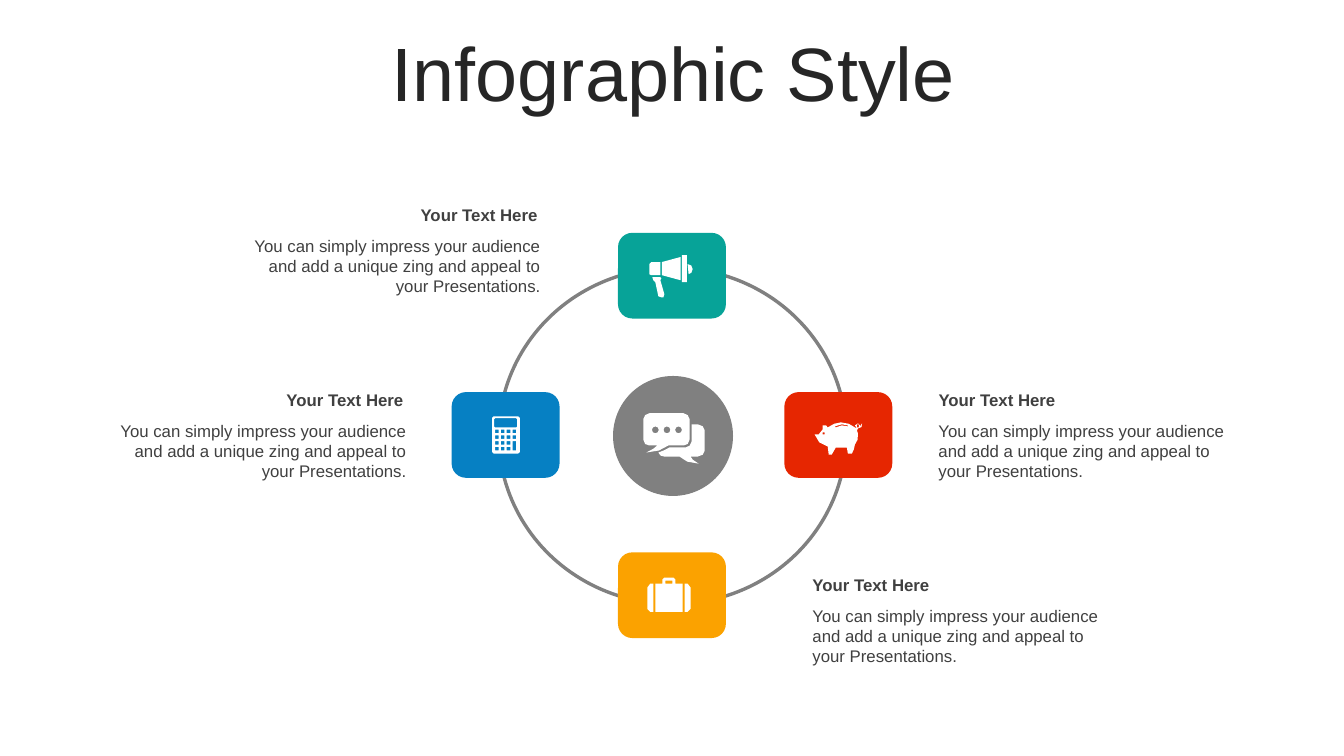
import math
from dataclasses import dataclass

import pptx
import pptx.dml.color
import pptx.enum.shapes
import pptx.enum.text
import pptx.util

RGBColor = pptx.dml.color.RGBColor
Shape = pptx.enum.shapes.MSO_SHAPE
Align = pptx.enum.text.PP_ALIGN
Anchor = pptx.enum.text.MSO_ANCHOR
Fit = pptx.enum.text.MSO_AUTO_SIZE

Contour = list[tuple[float, ...]]

COLS, ROWS = 1333, 750
WIDTH, HEIGHT = pptx.util.Inches(13.33), pptx.util.Inches(7.5)

WHITE = RGBColor(0xFF, 0xFF, 0xFF)
INK = RGBColor(0x26, 0x26, 0x26)
TEXT = RGBColor(0x40, 0x40, 0x40)
GRAY = RGBColor(0x80, 0x80, 0x80)
TEAL = RGBColor(0x07, 0xA3, 0x98)
AMBER = RGBColor(0xFB, 0xA2, 0x00)
RED = RGBColor(0xE6, 0x26, 0x01)
BLUE = RGBColor(0x06, 0x80, 0xC3)

TITLE_FONT = {"name": "Arial", "size": pptx.util.Pt(54)}
BODY_FONT = {"name": "Arial", "size": pptx.util.Pt(12)}
HEAD_FONT = BODY_FONT | {"bold": True}

HEADING = "Your Text Here"
BODY = ("You can simply impress your audience and add a unique zing "
        "and appeal to your Presentations.")


@dataclass(frozen=True)
class Box:
    col: float
    row: float
    cols: float
    rows: float

    def emu(self) -> tuple[int, int, int, int]:
        return (to_x(self.col), to_y(self.row), to_x(self.cols), to_y(self.rows))


@dataclass(frozen=True)
class Caption:
    col: float
    row: float
    align: Align


@dataclass(frozen=True)
class Badge:
    shape: Shape
    box: Box
    color: RGBColor
    icon: list[Contour]


def to_x(col: float) -> int:
    return round(WIDTH * col / COLS)


def to_y(row: float) -> int:
    return round(HEIGHT * row / ROWS)


def block(x: float, y: float, w: float, h: float) -> Contour:
    return [(x, y), (x + w, y), (x + w, y + h), (x, y + h)]


def cut_block(x: float, y: float, w: float, h: float, cut: float) -> Contour:
    return [(x + cut, y), (x + w - cut, y), (x + w, y + cut), (x + w, y + h - cut),
            (x + w - cut, y + h), (x + cut, y + h), (x, y + h - cut), (x, y + cut)]


def disc(cx: float, cy: float, radius: float) -> Contour:
    return [(cx + radius * math.cos(i * math.pi / 4),
             cy + radius * math.sin(i * math.pi / 4)) for i in range(8)]


def flatten(contour: Contour) -> list[tuple[int, int]]:
    points: Contour = []
    for node in contour:
        if len(node) == 2:
            points.append(node)
            continue
        ctrl = [points[-1], node[:2], node[2:4], node[4:]]
        steps = 2 if math.dist(ctrl[0], ctrl[3]) > 4 else 1
        for i in range(1, steps + 1):
            t = i / steps
            weights = ((1 - t) ** 3, 3 * t * (1 - t) ** 2, 3 * t * t * (1 - t), t ** 3)
            points.append(tuple(sum(w * c[k] for w, c in zip(weights, ctrl))
                                for k in (0, 1)))
    return [(to_x(px), to_y(py)) for px, py in points]


def paint(sp: pptx.shapes.autoshape.Shape, color: RGBColor) -> None:
    sp.shadow.inherit = False
    sp.fill.solid()
    sp.fill.fore_color.rgb = color
    sp.line.fill.background()


def add_icon(shapes: pptx.shapes.shapetree.SlideShapes, icon: list[Contour]) -> None:
    first, *rest = [flatten(contour) for contour in icon]
    builder = shapes.build_freeform(*first[0])
    builder.add_line_segments(first[1:])
    for points in rest:
        builder.move_to(*points[0])
        builder.add_line_segments(points[1:])
    paint(builder.convert_to_shape(), WHITE)


def add_figure(shapes: pptx.shapes.shapetree.SlideShapes, kind: Shape, box: Box,
               color: RGBColor) -> pptx.shapes.autoshape.Shape:
    sp = shapes.add_shape(kind, *box.emu())
    paint(sp, color)
    return sp


def add_text(shapes: pptx.shapes.shapetree.SlideShapes, box: Box, text: str, font: dict,
             color: RGBColor, frame: dict, para: dict) -> None:
    tf = shapes.add_textbox(*box.emu()).text_frame
    p = tf.paragraphs[0]
    r = p.add_run()
    r.text = text
    r.font.color.rgb = color
    for target, values in ((tf, frame | {"word_wrap": True}), (p, para), (r.font, font)):
        for name, value in values.items():
            setattr(target, name, value)


def add_caption(shapes: pptx.shapes.shapetree.SlideShapes, caption: Caption) -> None:
    col, row = caption.col, caption.row
    frame, para = {"auto_size": Fit.SHAPE_TO_FIT_TEXT}, {"alignment": caption.align}
    shift = 1 if caption.align == Align.RIGHT else 0
    add_text(shapes, Box(col, row + 30.5, 314, 71), BODY, BODY_FONT, TEXT, frame, para)
    add_text(shapes, Box(col - shift, row, 312, 30), HEADING, HEAD_FONT, TEXT, frame, para)


KEYS = [block(491 + 5.8 * c, 426.3 + 5.7 * r, 3.5, 3.5)
        for r in range(4) for c in range(4) if c < 3 or r < 2]
CALCULATOR = [cut_block(488, 413, 27.5, 37, 1.5), cut_block(490, 415, 23, 9, 1),
              block(508.4, 437.7, 3.5, 9.2), *KEYS]

CHAT = [
    [(686, 421), (692, 421), (696, 421, 699, 424, 699, 427), (699, 447),
     (699, 450, 696, 453, 692, 453), (685, 453), (687, 455, 686, 457, 693, 460),
     (682, 459, 680, 458, 674, 453), (659, 453), (656, 453, 654, 452, 653, 449),
     (657, 448, 660, 446, 664, 444), (680, 444), (683, 444, 686, 441, 686, 438)],
    [(644, 410), (678, 410), (681, 410, 684, 413, 684, 416), (684, 436),
     (684, 440, 681, 442, 678, 442), (663, 442), (655, 447, 653, 448, 641, 449),
     (648, 445, 648, 446, 652, 442), (644, 442), (641, 442, 638, 440, 638, 436),
     (638, 416), (638, 413, 641, 410, 644, 410)],
    *[disc(col, 426.5, 3.4) for col in (650, 661.5, 673)]]

MEGAPHONE = [
    [(655, 275), (656, 276), (655, 278), (659, 292), (658, 295), (656, 295),
     (653, 294), (650, 280), (648, 278), (647, 275)],
    [(682, 262), (685, 262, 687, 264, 687, 267), (687, 270, 685, 272, 683, 272)],
    [(646, 260), (655, 260), (655, 273), (646, 273), (644, 272), (644, 262)],
    [(675, 255), (675, 278), (656.5, 273), (656.5, 260)],
    block(676.3, 253, 5, 27)]

PIG = [
    block(816, 429, 2, 2),
    block(850, 421, 2, 3),
    [(835, 421), (828, 423), (829, 424), (833, 422, 837, 421, 841, 423), (841, 422)],
    [(834, 419), (839, 419, 845, 421, 848, 424), (850, 425), (848, 422), (851, 420),
     (853, 422), (853, 423), (855, 420), (856, 423, 854, 425, 851, 425), (850, 427),
     (851, 430), (852, 434, 850, 439, 848, 441), (848, 445, 846, 447, 845, 450),
     (841, 450), (840, 444), (829, 444), (825, 451), (822, 451), (821, 443),
     (817, 441, 807, 438, 808, 431), (812, 431), (816, 426), (816, 422),
     (819, 420, 820, 423, 821, 424), (824, 421, 831, 419, 834, 419)]]

SUITCASE = [
    [(679, 579), (682, 579), (685, 583), (685, 604), (682, 607), (679, 607)],
    [(645, 579), (648, 579), (648, 607), (645, 607), (642, 604), (642, 583)],
    block(660, 576, 7, 3),
    [(659, 573), (668, 573), (670, 575), (670, 579), (677, 579), (677, 607),
     (650, 607), (650, 579), (657, 579), (657, 575)]]

CAPTIONS = [Caption(921, 382, Align.LEFT), Caption(99, 382, Align.RIGHT),
            Caption(796, 565, Align.LEFT), Caption(232, 198, Align.RIGHT)]

TILE = Shape.ROUNDED_RECTANGLE
BADGES = [Badge(TILE, Box(613, 231, 107, 85), TEAL, MEGAPHONE),
          Badge(TILE, Box(613, 548, 107, 85), AMBER, SUITCASE),
          Badge(TILE, Box(778, 389, 107, 85), RED, PIG),
          Badge(TILE, Box(448, 389, 107, 85), BLUE, CALCULATOR),
          Badge(Shape.OVAL, Box(608, 373, 119, 119), GRAY, CHAT)]


def main() -> None:
    prs = pptx.Presentation()
    prs.slide_width, prs.slide_height = WIDTH, HEIGHT
    shapes = prs.slides.add_slide(prs.slide_layouts[6]).shapes
    add_text(shapes, Box(35, 37, 1266, 79), "Infographic Style", TITLE_FONT, INK,
             {"vertical_anchor": Anchor.MIDDLE},
             {"alignment": Align.CENTER, "line_spacing": 0.9,
              "space_before": pptx.util.Pt(10)})
    for caption in CAPTIONS:
        add_caption(shapes, caption)
    ring = add_figure(shapes, Shape.DONUT, Box(493, 264, 348, 337), GRAY)
    ring.adjustments[0] = 0.01
    for badge in BADGES:
        add_figure(shapes, badge.shape, badge.box, badge.color)
        add_icon(shapes, badge.icon)
    prs.save("out.pptx")


if __name__ == "__main__":
    main()
